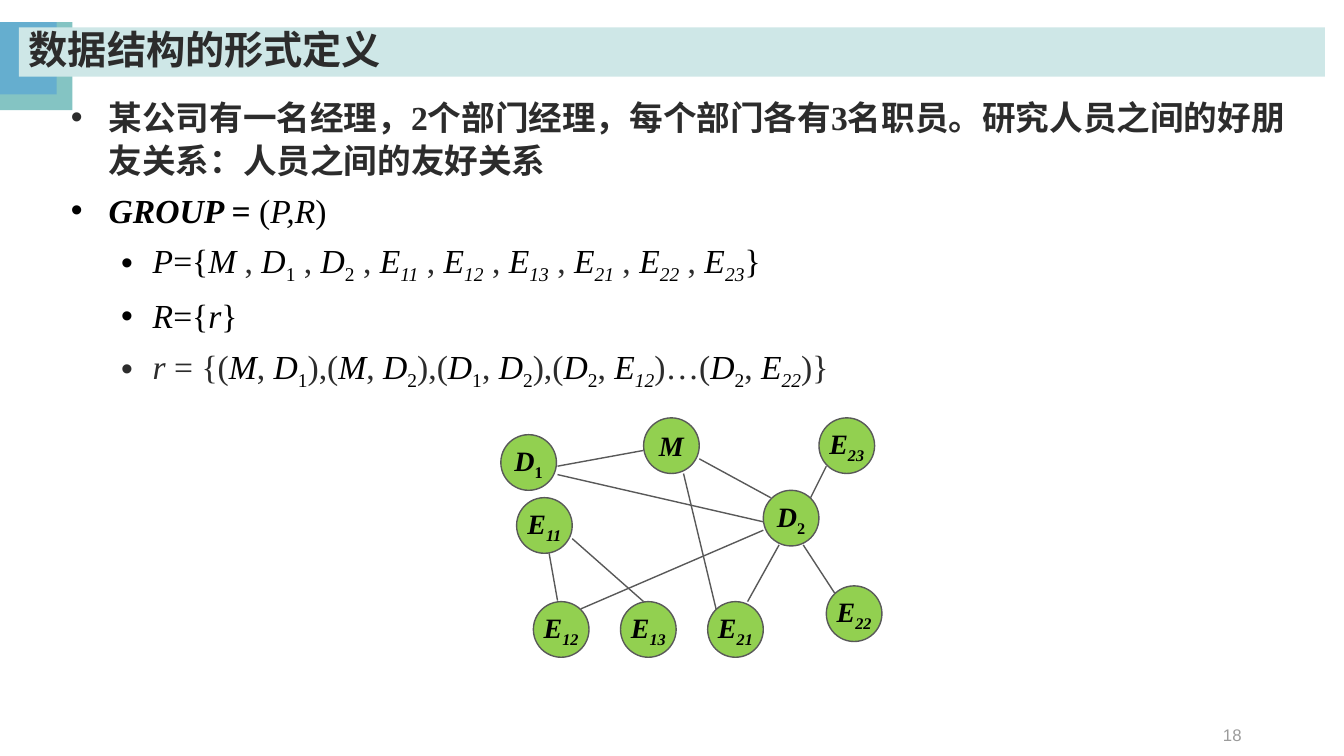
from lxml import etree
from pptx import Presentation
from pptx import util as u
from pptx.dml.color import RGBColor
from pptx.enum import shapes, text
from pptx.oxml.ns import qn

PX = 9525
INK, BLACK, GREY = "2C2C2C", "000000", "595959"
SERIF, SANS = "Times New Roman", "Noto Sans CJK SC"


def px(*lengths):
    """Turn pixel lengths into EMU."""
    return [u.Emu(n * PX) for n in lengths]


def rgb(value):
    """Turn a hex string into a colour."""
    return RGBColor.from_string(value)


def add_run(p, words, size, color, font=SERIF, bold=False, italic=False, sub=False):
    """Add one formatted run to a paragraph."""
    r = p.add_run()
    r.text = words
    f = r.font
    f.size, f.name, f.bold, f.italic = u.Pt(size), font, bold, italic
    f.color.rgb = rgb(color)
    etree.SubElement(r._r.rPr, qn("a:ea")).set("typeface", SANS)
    if sub:
        r._r.rPr.set("baseline", "-25000")


def add_shape(s, kind, box, fill, line=None):
    """Add a flat preset shape."""
    sp = s.shapes.add_shape(kind, *px(*box))
    sp.shadow.inherit = False
    sp.fill.solid()
    sp.fill.fore_color.rgb = rgb(fill)
    if line:
        sp.line.color.rgb = rgb(line)
        sp.line.width = u.Pt(1)
    else:
        sp.line.fill.background()
    return sp


def member(name, lead=""):
    """Return the runs of a letter and its subscript as (text, flags)."""
    runs = [(lead + name[0], "i")]
    if name[1:]:
        runs.append((name[1:], "si" if name[0] == "E" else "s"))
    return runs


def member_set(names):
    """Return the runs of the set P."""
    runs = [("P", "i"), ("={", "")]
    for i, name in enumerate(names):
        if i:
            runs.append((" ,", "d"))
        runs += member(name, " " if i else "")
    return runs + [("}", "")]


def relation(pairs):
    """Return the runs of the relation r, with dots before the last pair."""
    runs = [("r ", "di"), ("= {(", "d")]
    for i, (a, b) in enumerate(pairs):
        if i:
            runs.append((")…(" if i == len(pairs) - 1 else "),(", "d"))
        runs += member(a) + [(", ", "d")] + member(b)
    return runs + [(")}", "d")]


def add_header(s, x, y, w, h):
    """Draw the corner squares and the title bar."""
    rect = shapes.MSO_SHAPE.RECTANGLE
    add_shape(s, rect, (x, y, 69, 84), "84C4C3")
    add_shape(s, rect, (x, y, 54, 69), "65AECF")
    sp = add_shape(s, rect, (x + 18, y + 5, w - 18, h - 5), "CEE7E7")
    tf = sp.text_frame
    tf.word_wrap = True
    tf.vertical_anchor = text.MSO_ANCHOR.MIDDLE
    p = tf.paragraphs[0]
    p.alignment = text.PP_ALIGN.LEFT
    p.line_spacing = 0.9
    add_run(p, "数据结构的形式定义", 28, INK, SANS, bold=True)


def add_body(s, x, y, w, h):
    """Write the bulleted definition."""
    intro = "某公司有一名经理，2个部门经理，每个部门各有3名职员。研究人员之间的好朋友关系：人员之间的友好关系"
    names = ["M", "D1", "D2", "E11", "E12", "E13", "E21", "E22", "E23"]
    pairs = [("M", "D1"), ("M", "D2"), ("D1", "D2"), ("D2", "E12"), ("D2", "E22")]
    items = [
        (0, [(intro, "db")]),
        (0, [("GROUP ", "bi"), ("= ", "b"), ("(", ""), ("P,R", "i"), (")", "")]),
        (1, member_set(names)),
        (1, [("R", "i"), ("={", ""), ("r", "i"), ("}", "")]),
        (1, relation(pairs)),
    ]
    tf = s.shapes.add_textbox(*px(x, y, w, h)).text_frame
    tf.word_wrap = True
    for i, (level, runs) in enumerate(items):
        p = tf.add_paragraph() if i else tf.paragraphs[0]
        p.level = level
        p.line_spacing = 1.05
        if i:
            p.space_before = u.Pt(5.5)
        margin, indent = px(78, -30) if level else px(36, -36)
        pPr = p._p.get_or_add_pPr()
        pPr.set("marL", str(margin))
        pPr.set("indent", str(indent))
        etree.SubElement(pPr, qn("a:buFont")).set("typeface", "Arial")
        etree.SubElement(pPr, qn("a:buChar")).set("char", "•")
        for words, flags in runs:
            add_run(p, words, 24, INK if "d" in flags else BLACK,
                    bold="b" in flags, italic="i" in flags, sub="s" in flags)


def add_graph(s, x, y, size):
    """Draw the friendship graph from its top left corner."""
    nodes = {"D1": (0, 16), "D2": (250, 69), "E11": (15, 76), "E12": (31, 175),
             "E13": (114, 175), "E21": (197, 175), "E23": (303, 0),
             "E22": (310, 160), "M": (136, 0)}
    edges = [(136, 31, 54, 46), (46, 129, 54, 174), (68, 115, 136, 175),
             (189, 39, 257, 76), (265, 121, 235, 175), (295, 76, 310, 46),
             (54, 54, 250, 99), (76, 182, 250, 107), (288, 121, 318, 167),
             (174, 53, 205, 182)]
    for name, (dx, dy) in nodes.items():
        sp = add_shape(s, shapes.MSO_SHAPE.OVAL, (x + dx, y + dy, size, size),
                       "92D050", GREY)
        tf = sp.text_frame
        tf.word_wrap = False
        tf.vertical_anchor = text.MSO_ANCHOR.MIDDLE
        p = tf.paragraphs[0]
        p.alignment = text.PP_ALIGN.CENTER
        for words, flags in member(name):
            add_run(p, words, 20, BLACK, bold=True, italic="i" in flags,
                    sub="s" in flags)
    for x1, y1, x2, y2 in edges:
        c = s.shapes.add_connector(shapes.MSO_CONNECTOR.STRAIGHT,
                                   *px(x + x1, y + y1, x + x2, y + y2))
        c.line.color.rgb = rgb(GREY)
        c.line.width = u.Pt(1)
        etree.SubElement(c._element.spPr, qn("a:effectLst"))


def add_page_number(s, x, y, w, h):
    """Write the page number."""
    tf = s.shapes.add_textbox(*px(x, y, w, h)).text_frame
    tf.word_wrap = True
    tf.vertical_anchor = text.MSO_ANCHOR.MIDDLE
    p = tf.paragraphs[0]
    p.alignment = text.PP_ALIGN.RIGHT
    add_run(p, "18", 12, "9B9B9B", "Arial")


def main():
    """Build the slide and save it."""
    prs = Presentation()
    prs.slide_width, prs.slide_height = px(1280, 720)
    s = prs.slides.add_slide(prs.slide_layouts[6])
    add_header(s, 0, 21, 1262, 52)
    add_page_number(s, 904, 681, 288, 38)
    add_body(s, 58, 86, 1190, 242)
    add_graph(s, 477, 398, 53)
    prs.save("out.pptx")


if __name__ == "__main__":
    main()
